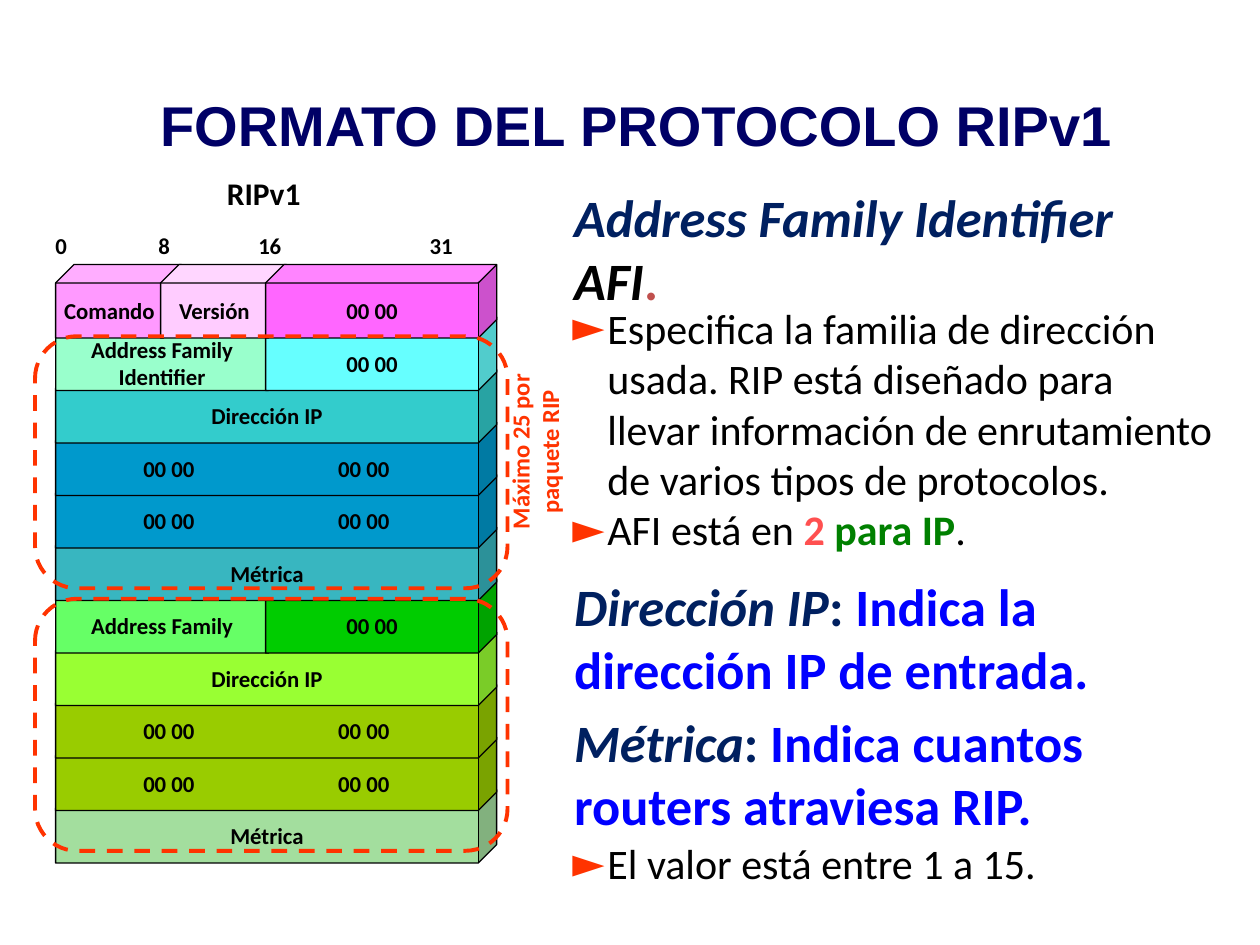
from lxml import etree
from pptx import Presentation
from pptx.dml.color import RGBColor
from pptx.enum.dml import MSO_LINE
from pptx.enum.shapes import MSO_SHAPE
from pptx.enum.text import MSO_ANCHOR, PP_ALIGN
from pptx.oxml.ns import qn
from pptx.util import Pt

CUBE = MSO_SHAPE.CUBE
BAND = MSO_SHAPE.FLOWCHART_ALTERNATE_PROCESS
DASH = MSO_LINE.DASH
MIDDLE = MSO_ANCHOR.MIDDLE
LEFT, CENTER = PP_ALIGN.LEFT, PP_ALIGN.CENTER

COLORS = {
    "title": "000066", "term": "002060", "black": "000000", "dot": "C0504D",
    "accent": "FF3300", "meaning": "0000FF", "value": "FF5050", "ip": "008000",
    "command": "FF99FF", "version": "FFCCFF", "unused": "FF66FF",
    "family_1": "99FFCC", "zero_1": "66FFFF", "address_1": "33CCCC",
    "blank_1": "0099CC", "metric_1": "38B6C0",
    "family_2": "66FF66", "zero_2": "00CC00", "address_2": "99FF33",
    "blank_2": "99CC00", "metric_2": "A3DE9E",
}
TITLE = {"name": "Arial", "size": Pt(32), "bold": True}
TERM = {"name": "Calibri", "size": Pt(30), "bold": True, "italic": True}
MEANING = {**TERM, "italic": False}
BODY = {"name": "Calibri", "size": Pt(24), "bold": False}
STRONG = {**BODY, "bold": True}
FIELD = {"name": "Calibri", "size": Pt(13), "bold": True}
VERSION = {**FIELD, "size": Pt(18)}
LIMIT = {**FIELD, "size": Pt(14)}

PACKET_LEFT, PACKET_TOP = 31.8, 151.2
ROW_PITCH, BYTE_WIDTH = 30, 60
CUBE_HEIGHT, CUBE_OVERLAP = 42, 12
PAIR = "\t00 00\t00 00"
PAIR_TABS = [(57.6, "ctr"), (169, "ctr")]
BIT_TABS = [(59, "l"), (116, "l"), (214, "l")]
NOTES_LEFT = 321

ROWS = [
    [(1, "Comando", "command"), (1, "Versión", "version"), (2, "00 00", "unused")],
    [(2, "Address Family\nIdentifier", "family_1"), (2, "00 00", "zero_1")],
    [(4, "Dirección IP", "address_1")],
    [(4, PAIR, "blank_1")],
    [(4, PAIR, "blank_1")],
    [(4, "Métrica", "metric_1")],
    [(2, "Address Family", "family_2"), (2, "00 00", "zero_2")],
    [(4, "Dirección IP", "address_2")],
    [(4, PAIR, "blank_2")],
    [(4, PAIR, "blank_2")],
    [(4, "Métrica", "metric_2")],
]

HEADINGS = [
    (102.2, 326, [("Address Family Identifier\n", "term", TERM),
                  ("AFI", "black", TERM), (".", "dot", MEANING)]),
    (324.7, 312, [("Dirección IP", "term", TERM), (": ", "term", MEANING),
                  ("Indica la\ndirección IP de entrada.", "meaning", MEANING)]),
    (402.5, 308, [("Métrica", "term", TERM), (": ", "term", MEANING),
                  ("Indica cuantos\nrouters atraviesa RIP.", "meaning", MEANING)]),
]
BULLETS = [
    (169.2, 384, 123, [("Especifica la familia de dirección\nusada. RIP está diseñado para\n"
                        "llevar información de enrutamiento\nde varios tipos de protocolos.",
                        "black", BODY)]),
    (284.4, 244, 36, [("AFI está en ", "black", BODY), ("2", "value", STRONG),
                      (" para IP", "ip", STRONG), (".", "black", BODY)]),
    (475.2, 285, 36, [("El valor está entre 1 a 15.", "black", BODY)]),
]


def color(name):
    """Return the named colour."""
    return RGBColor.from_string(COLORS[name])


def write(paragraph, runs):
    """Write formatted runs, turning newlines into line breaks."""
    for text, color_name, style in runs:
        for index, line in enumerate(text.split("\n")):
            if index:
                paragraph.add_line_break()
            if not line:
                continue
            run = paragraph.add_run()
            run.text = line
            for attribute, value in style.items():
                setattr(run.font, attribute, value)
            run.font.color.rgb = color(color_name)


def set_tabs(paragraph, stops):
    """Give a paragraph its tab stops."""
    tab_list = etree.SubElement(paragraph._p.get_or_add_pPr(), qn("a:tabLst"))
    for position, alignment in stops:
        etree.SubElement(tab_list, qn("a:tab"), pos=str(Pt(position)), algn=alignment)


def set_bullet(paragraph):
    """Give a paragraph an arrow bullet with a hanging indent."""
    properties = paragraph._p.get_or_add_pPr()
    properties.set("marL", str(Pt(20)))
    properties.set("indent", str(Pt(-20)))
    bullet_color = etree.SubElement(properties, qn("a:buClr"))
    etree.SubElement(bullet_color, qn("a:srgbClr"), val=COLORS["accent"])
    etree.SubElement(properties, qn("a:buFont"), typeface="Calibri")
    etree.SubElement(properties, qn("a:buChar"), char="►")


def add_text(slide, box, runs, tabs=None, bullet=False, align=LEFT, rotation=0):
    """Add a text box holding one paragraph."""
    label = slide.shapes.add_textbox(*map(Pt, box))
    label.rotation = rotation
    label.text_frame.word_wrap = bool(tabs)
    paragraph = label.text_frame.paragraphs[0]
    paragraph.alignment = align
    if bullet:
        set_bullet(paragraph)
    if tabs:
        set_tabs(paragraph, tabs)
    write(paragraph, runs)


def add_field(slide, row, first_byte, byte_count, text, fill):
    """Add one packet field as a cube."""
    field = slide.shapes.add_shape(
        CUBE, Pt(PACKET_LEFT + first_byte * BYTE_WIDTH), Pt(PACKET_TOP + row * ROW_PITCH),
        Pt(byte_count * BYTE_WIDTH + CUBE_OVERLAP), Pt(CUBE_HEIGHT))
    field.shadow.inherit = False
    field.fill.solid()
    field.fill.fore_color.rgb = color(fill)
    field.line.color.rgb = color("black")
    field.line.width = Pt(0.75)
    frame = field.text_frame
    frame.vertical_anchor = MIDDLE
    paragraph = frame.paragraphs[0]
    has_tabs = "\t" in text
    frame.word_wrap = has_tabs
    paragraph.alignment = LEFT if has_tabs else CENTER
    if has_tabs:
        set_tabs(paragraph, PAIR_TABS)
    write(paragraph, [(text, "black", FIELD)])


def add_packet(slide):
    """Stack the packet rows from the bottom up."""
    for row, fields in reversed(list(enumerate(ROWS))):
        first_byte = 0
        for byte_count, text, fill in fields:
            add_field(slide, row, first_byte, byte_count, text, fill)
            first_byte += byte_count


def add_entry_outline(slide, top):
    """Add the dashed outline around one route entry."""
    outline = slide.shapes.add_shape(BAND, Pt(20), Pt(top), Pt(270), Pt(144))
    outline.shadow.inherit = False
    outline.fill.background()
    outline.line.color.rgb = color("accent")
    outline.line.width = Pt(2.25)
    outline.line.dash_style = DASH


def main():
    """Build the RIPv1 format slide."""
    deck = Presentation()
    deck.slide_width, deck.slide_height = Pt(720), Pt(540)
    slide = deck.slides.add_slide(deck.slide_layouts[6])
    add_text(slide, (82, 48.2, 563, 46),
             [("FORMATO DEL PROTOCOLO RIPv1", "title", TITLE)], align=CENTER)
    for top, width, runs in HEADINGS:
        add_text(slide, (NOTES_LEFT, top, width, 80), runs)
    for top, width, height, runs in BULLETS:
        add_text(slide, (NOTES_LEFT - 1, top, width, height), runs, bullet=True)
    add_packet(slide)
    add_text(slide, (24.5, 128.9, 250, 24), [("0\t8\t16\t31", "black", FIELD)], tabs=BIT_TABS)
    add_text(slide, (121.7, 95.8, 58, 29.5), [("RIPv1", "black", VERSION)], align=CENTER)
    for entry in range(2):
        add_entry_outline(slide, 192.2 + entry * 5 * ROW_PITCH)
    add_text(slide, (252, 237.6, 107.3, 41),
             [("Máximo 25 por\npaquete RIP", "accent", LIMIT)], align=CENTER, rotation=270)
    deck.save("out.pptx")


if __name__ == "__main__":
    main()
